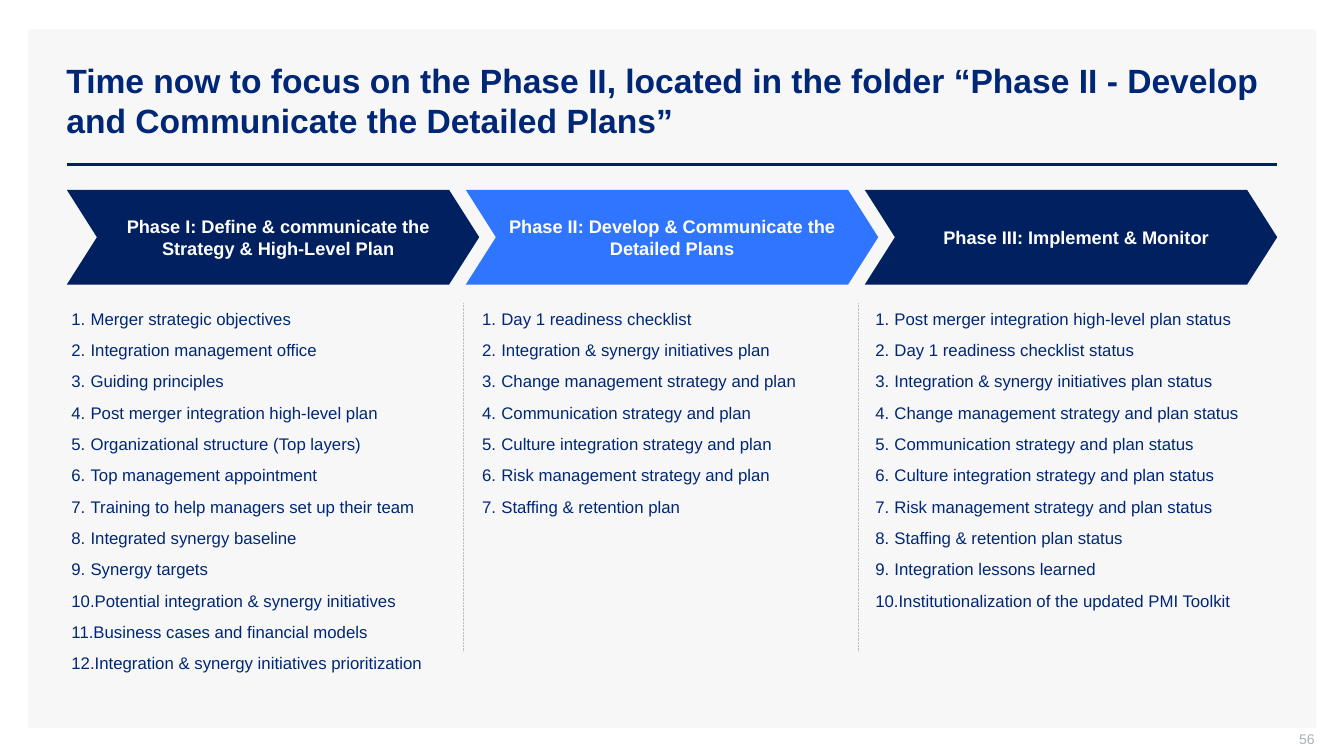
import dataclasses

import lxml.etree
import pptx
import pptx.dml.color
import pptx.enum.dml
import pptx.enum.shapes
import pptx.enum.text
import pptx.oxml.ns
import pptx.util

COLUMNS, ROWS = 160, 90
ALIGN = pptx.enum.text.PP_ALIGN
ANCHOR = pptx.enum.text.MSO_ANCHOR
SHAPE = pptx.enum.shapes.MSO_SHAPE


@dataclasses.dataclass(frozen=True)
class Theme:
    font: str = "Arial"
    panel: str = "F7F7F7"
    navy: str = "002060"
    accent: str = "3075FF"
    ink: str = "002776"
    white: str = "FFFFFF"
    divider: str = "BFBFBF"
    muted: str = "ADAFBB"
    title_size: int = 24
    phase_size: int = 13
    list_size: int = 12
    number_size: int = 10


def grid(units):
    """Convert grid columns or rows, twelve to the inch, to a length."""
    return pptx.util.Inches(units / 12)


def rgb(colour):
    return pptx.dml.color.RGBColor.from_string(colour)


def write(para, text, *, font, size, colour, bold=False, align=ALIGN.LEFT,
          before=0, after=0):
    para.alignment = align
    para.space_before = pptx.util.Pt(before)
    para.space_after = pptx.util.Pt(after)
    span = para.add_run()
    span.text = text
    span.font.name = font
    span.font.size = pptx.util.Pt(size)
    span.font.bold = bold
    span.font.color.rgb = rgb(colour)


def set_frame(frame, anchor, insets=(0.1, 0.05, 0.1, 0.05)):
    """Wrap the text and set its anchor and its insets in inches."""
    frame.word_wrap = True
    frame.auto_size = pptx.enum.text.MSO_AUTO_SIZE.NONE
    frame.vertical_anchor = anchor
    (frame.margin_left, frame.margin_top,
     frame.margin_right, frame.margin_bottom) = map(pptx.util.Inches, insets)


class Painter:
    """Draws on one page; every position is in grid columns and rows."""

    def __init__(self, page, theme):
        self.page = page
        self.theme = theme

    def place(self, box, left, top, width, height):
        box.left, box.top = grid(left), grid(top)
        box.width, box.height = grid(width), grid(height)

    def shape(self, kind, left, top, width, height, fill):
        box = self.page.shapes.add_shape(
            kind, grid(left), grid(top), grid(width), grid(height))
        box.shadow.inherit = False
        box.fill.solid()
        box.fill.fore_color.rgb = rgb(fill)
        box.line.fill.background()
        return box

    def panel(self, *bounds):
        element = self.shape(SHAPE.RECTANGLE, *bounds, self.theme.panel).element
        element.getparent().insert(2, element)  # behind the placeholders

    def line(self, start, end, colour, width, dash=None):
        rule = self.page.shapes.add_connector(
            pptx.enum.shapes.MSO_CONNECTOR.STRAIGHT, *map(grid, start + end))
        rule.line.color.rgb = rgb(colour)
        rule.line.width = pptx.util.Pt(width)
        rule.line.dash_style = dash
        lxml.etree.SubElement(rule.element.spPr, pptx.oxml.ns.qn("a:effectLst"))

    def title(self, text, *bounds):
        box = self.page.shapes.title
        self.place(box, *bounds)
        set_frame(box.text_frame, ANCHOR.MIDDLE)
        write(box.text_frame.paragraphs[0], text, font=self.theme.font,
              size=self.theme.title_size, colour=self.theme.ink, bold=True)

    def phase(self, text, left, top, width, height, fill, insets):
        box = self.shape(SHAPE.CHEVRON, left, top, width, height, fill)
        box.adjustments[0] = 0.318
        set_frame(box.text_frame, ANCHOR.MIDDLE, insets)
        write(box.text_frame.paragraphs[0], text, font=self.theme.font,
              size=self.theme.phase_size, colour=self.theme.white, bold=True,
              align=ALIGN.CENTER)

    def numbered_list(self, box, items, left, top, width, row, inset):
        self.place(box, left, top, width, row * len(items))
        frame = box.text_frame
        set_frame(frame, ANCHOR.TOP, (inset, 0.05, 0.1, 0.05))
        for index, item in enumerate(items):
            para = frame.add_paragraph() if index else frame.paragraphs[0]
            write(para, item, font=self.theme.font, size=self.theme.list_size,
                  colour=self.theme.ink, before=4 if index else 0, after=4)
            properties = para._p.get_or_add_pPr()
            indent = pptx.util.Inches(0.19)
            properties.set("marL", str(indent))
            properties.set("indent", str(-indent))
            lxml.etree.SubElement(properties, pptx.oxml.ns.qn("a:buAutoNum"),
                                  type="arabicPeriod")

    def page_number(self, text, *bounds):
        box = self.page.shapes.add_textbox(*map(grid, bounds))
        set_frame(box.text_frame, ANCHOR.MIDDLE, (0.1, 0, 0, 0.05))
        write(box.text_frame.paragraphs[0], text, font=self.theme.font,
              size=self.theme.number_size, colour=self.theme.muted,
              align=ALIGN.RIGHT)


PLANS = ["Day 1 readiness checklist", "Integration & synergy initiatives plan",
         "Change management strategy and plan", "Communication strategy and plan",
         "Culture integration strategy and plan",
         "Risk management strategy and plan", "Staffing & retention plan"]
STRATEGY = ["Merger strategic objectives", "Integration management office",
            "Guiding principles", "Post merger integration high-level plan",
            "Organizational structure (Top layers)", "Top management appointment",
            "Training to help managers set up their team",
            "Integrated synergy baseline", "Synergy targets",
            "Potential integration & synergy initiatives",
            "Business cases and financial models",
            "Integration & synergy initiatives prioritization"]
MONITORING = ["Post merger integration high-level plan status",
              *(f"{plan} status" for plan in PLANS),
              "Integration lessons learned",
              "Institutionalization of the updated PMI Toolkit"]


def main():
    deck = pptx.Presentation()
    deck.slide_width, deck.slide_height = grid(COLUMNS), grid(ROWS)
    page = deck.slides.add_slide(deck.slide_layouts.get_by_name("Comparison"))
    theme = Theme()
    painter = Painter(page, theme)

    painter.panel(3.36, 3.5, 153.36, 83.16)
    painter.title("Time now to focus on the Phase II, located in the folder "
                  "“Phase II - Develop and Communicate the Detailed Plans”",
                  6.7, 4.8, 145.4, 14.3)
    painter.line((7.95, 19.56), (152.05, 19.56), theme.navy, 2)
    painter.page_number("56", 120.5, 87, 36, 2.5)

    side, middle = (0.1, 0.05, 0, 0.05), (0.04, 0.05, 0.04, 0.05)
    # heading, fill, heading insets, items, list left, list width, list inset
    phases = [
        ("Phase I: Define & communicate the Strategy & High-Level Plan",
         theme.navy, side, STRATEGY, 8.5, 46.7, 0),
        ("Phase II: Develop & Communicate the Detailed Plans",
         theme.accent, middle, PLANS, 56.2, 45.4, 0.1),
        ("Phase III: Implement & Monitor",
         theme.navy, side, MONITORING, 103, 49.1, 0.1),
    ]
    bodies = [box for box in page.placeholders if box.placeholder_format.idx]
    for index, (heading, fill, insets, items, left, width, inset) in enumerate(phases):
        painter.phase(heading, 7.95 + 47.5 * index, 22.6, 49.1, 11.28, fill, insets)
        painter.numbered_list(bodies[index], items, left, 36.1, width, 3.76, inset)
        if index:
            across = 8.2 + 47 * index
            painter.line((across, 36.1), (across, 77.6), theme.divider, 0.5,
                         pptx.enum.dml.MSO_LINE.ROUND_DOT)
    for spare in bodies[len(phases):]:
        spare.element.getparent().remove(spare.element)

    deck.save("out.pptx")


if __name__ == "__main__":
    main()
